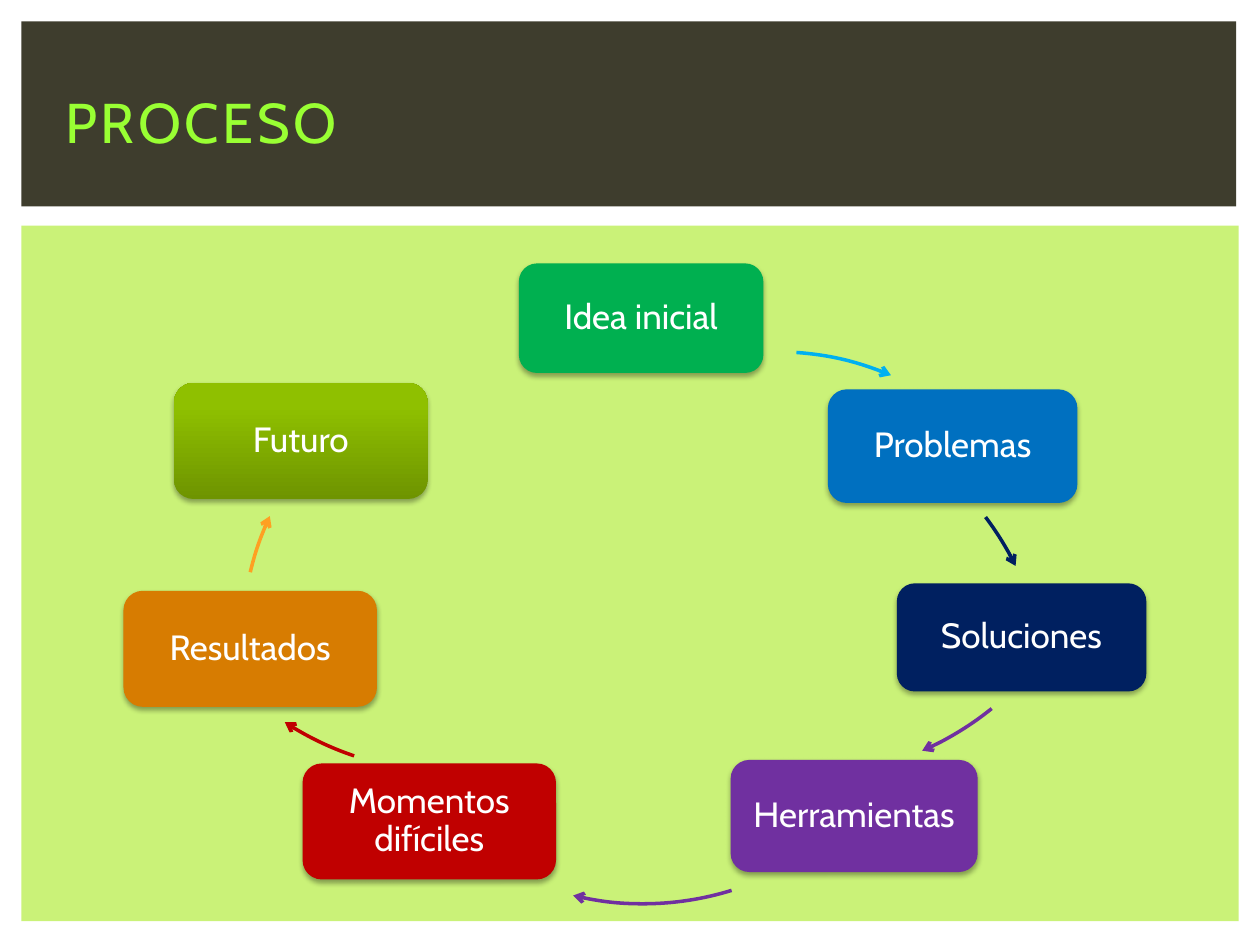
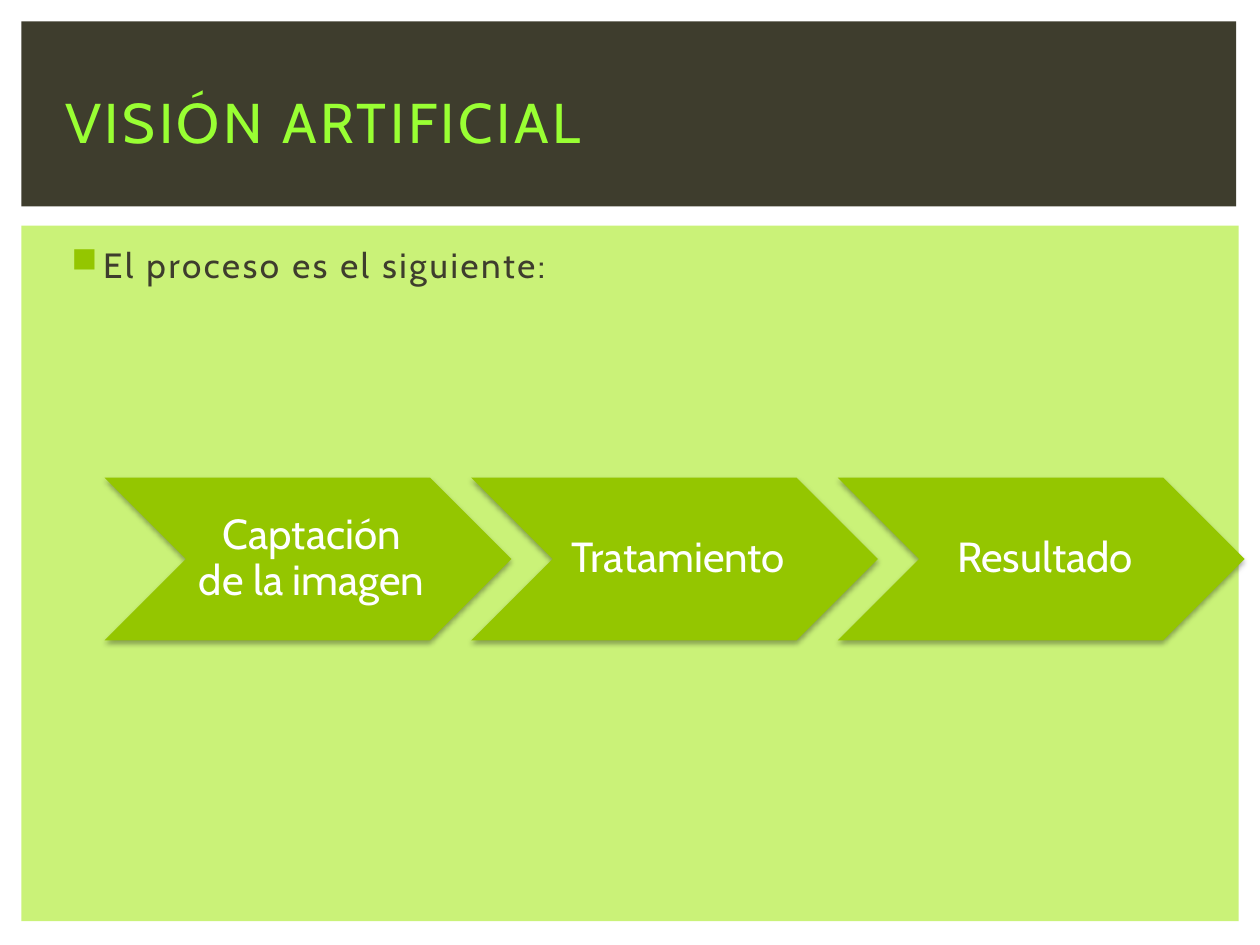
from lxml import etree
from pptx import Presentation
from pptx import util as u
from pptx.dml.color import RGBColor
from pptx.enum import shapes, text
from pptx.oxml import ns

FONT = "Cabin"
COLORS = {
    "panel": "CAF278", "band": "3E3D2D", "title": "99FF33", "white": "FFFFFF",
    "lime": "94C600", "lime_dark": "6E9400", "lime_light": "8FC000",
    "green": "00B050", "sky": "00B0F0", "blue": "0070C0", "navy": "002060",
    "purple": "7030A0", "red": "C00000", "brown": "D77C01", "orange": "FEA022",
}

# Boxes shared by the slides: left, top, width, height in cm
BAND = (0.43, 0.43, 24.49, 3.73)
PANEL = (0.43, 4.55, 24.54, 14.02)

# Text styles
TITLE = {"size": u.Pt(32), "color": "title", "spacing": 2}
BODY = {"size": u.Pt(20), "color": "band", "spacing": 1.5}
STEP = {"size": u.Pt(20), "color": "white", "line_spacing": 0.9,
        "alignment": text.PP_ALIGN.CENTER}
CHEVRON = {**STEP, "size": u.Pt(24)}
MIDDLE = {"vertical_anchor": text.MSO_ANCHOR.MIDDLE}
STEP_FRAME = {**MIDDLE, "margin_left": u.Cm(0.2), "margin_right": u.Cm(0.2),
              "margin_top": u.Cm(0.2), "margin_bottom": u.Cm(0.2)}
CHEVRON_FRAME = {**MIDDLE, "margin_left": u.Cm(0.25), "margin_right": u.Cm(0.1),
                 "margin_top": u.Cm(0.1), "margin_bottom": u.Cm(0.1)}

# Cycle steps: label, colour, left, top, width, height (cm inside the panel)
STEPS = [
    ("Idea inicial", "green", 10.03, 0.76, 4.93, 2.21),
    ("Problemas", "blue", 16.26, 3.3, 5.03, 2.29),
    ("Soluciones", "navy", 17.65, 7.21, 5.03, 2.18),
    ("Herramientas", "purple", 14.3, 10.77, 4.98, 2.26),
    ("Momentos difíciles", "red", 5.67, 10.84, 5.11, 2.34),
    ("Resultados", "brown", 2.06, 7.36, 5.11, 2.34),
    ("Futuro", None, 3.08, 3.17, 5.11, 2.34),
]
# Curved arrows: colour, left, top of the circle, start and end angle
ARC_SIZE = 12.07
ARCS = [
    ("sky", 9.15, 2.54, 274.2, 292.9),
    ("navy", 8.59, 3.48, 322.9, 333.9),
    ("purple", 9.73, -0.99, 51, 66.6),
    ("purple", 6.5, 1.6, 72.8, 103.5),
    ("red", 2.59, -1.07, 108.5, 123.3),
    ("orange", 4.45, 2.36, 193.5, 204.9),
]
STAGES = ["Captación de la imagen", "Tratamiento", "Resultado"]


def rgb(name):
    return RGBColor.from_string(COLORS[name])


def cm_box(box, left, top, width, height):
    """Lengths of an area placed inside a box."""
    return [u.Cm(v) for v in (box[0] + left, box[1] + top, width, height)]


def sub(parent, tag, **attrs):
    el = etree.SubElement(parent, ns.qn(tag))
    for key, value in attrs.items():
        el.set(key, str(value))
    return el


def add_shape(slide, kind, area, fill=None):
    sp = slide.shapes.add_shape(kind, *area)
    sp.shadow.inherit = False
    sp.line.fill.background()
    if fill:
        sp.fill.solid()
        sp.fill.fore_color.rgb = rgb(fill)
    return sp


def add_soft_shadow(sp):
    effects = sp._element.spPr.find(ns.qn("a:effectLst"))
    shadow = sub(effects, "a:outerShdw", blurRad=u.Pt(3.1), dist=u.Pt(1.8),
                 dir=90 * 60000, rotWithShape=0)
    sub(sub(shadow, "a:srgbClr", val="000000"), "a:alpha", val=35000)


def write(sp, words, style, frame):
    tf = sp.text_frame
    tf.word_wrap = True
    for key, value in frame.items():
        setattr(tf, key, value)
    p = tf.paragraphs[0]
    r = p.add_run()
    r.text = words
    r.font.name = FONT
    r.font.color.rgb = rgb(style["color"])
    for key, value in style.items():
        if key == "spacing":
            r._r.get_or_add_rPr().set("spc", str(int(value * 100)))
        elif key == "size":
            r.font.size = value
        elif key != "color":
            setattr(p, key, value)
    return p


def add_base(prs, title):
    slide = prs.slides.add_slide(prs.slide_layouts[6])
    for box, fill in ((PANEL, "panel"), (BAND, "band")):
        add_shape(slide, shapes.MSO_SHAPE.RECTANGLE, cm_box(box, 0, 0, *box[2:]), fill)
    tb = slide.shapes.add_textbox(*cm_box(BAND, 0.64, 0.56, 23.29, 2.92))
    write(tb, title, TITLE, MIDDLE)
    return slide


def add_cycle(slide, box):
    # Steps
    for label, color, *area in STEPS:
        sp = add_shape(slide, shapes.MSO_SHAPE.ROUNDED_RECTANGLE, cm_box(box, *area), color)
        if color is None:
            sp.fill.gradient()
            sp.fill.gradient_angle = 90
            stops = zip(sp.fill.gradient_stops, (0, 0.8), ("lime_dark", "lime_light"))
            for stop, position, name in stops:
                stop.position = position
                stop.color.rgb = rgb(name)
        add_soft_shadow(sp)
        write(sp, label, STEP, STEP_FRAME)
    # Curved arrows; an adjustment of 0.6 is one degree
    for color, left, top, start, end in ARCS:
        sp = add_shape(slide, shapes.MSO_SHAPE.ARC, cm_box(box, left, top, ARC_SIZE, ARC_SIZE))
        sp.fill.background()
        sp.adjustments[0] = start * 0.6
        sp.adjustments[1] = end * 0.6
        sp.line.color.rgb = rgb(color)
        sp.line.width = u.Pt(2)
        sub(sp.line._get_or_add_ln(), "a:tailEnd", type="arrow")


def add_bullet(slide, box, words):
    tb = slide.shapes.add_textbox(*cm_box(box, 0.64, 0.23, 23.34, 13.36))
    pPr = write(tb, words, BODY, {})._p.get_or_add_pPr()
    pPr.set("marL", str(u.Cm(0.76)))
    pPr.set("indent", str(u.Cm(-0.64)))
    sub(sub(pPr, "a:buClr"), "a:srgbClr", val=COLORS["lime"])
    sub(pPr, "a:buChar", char="■")


def add_chevrons(slide, box):
    width, height, pitch = 8.2, 3.28, 7.39
    for i, stage in enumerate(STAGES):
        area = cm_box(box, 1.68 + i * pitch, 5.08, width, height)
        sp = add_shape(slide, shapes.MSO_SHAPE.CHEVRON, area, "lime")
        add_soft_shadow(sp)
        write(sp, stage, CHEVRON, CHEVRON_FRAME)


def main():
    prs = Presentation()
    prs.slide_width, prs.slide_height = u.Cm(25.4), u.Cm(19.05)

    # Process cycle
    add_cycle(add_base(prs, "PROCESO"), PANEL)

    # Computer vision stages
    slide = add_base(prs, "VISIÓN ARTIFICIAL")
    add_bullet(slide, PANEL, "El proceso es el siguiente:")
    add_chevrons(slide, PANEL)

    prs.save("out.pptx")


if __name__ == "__main__":
    main()
